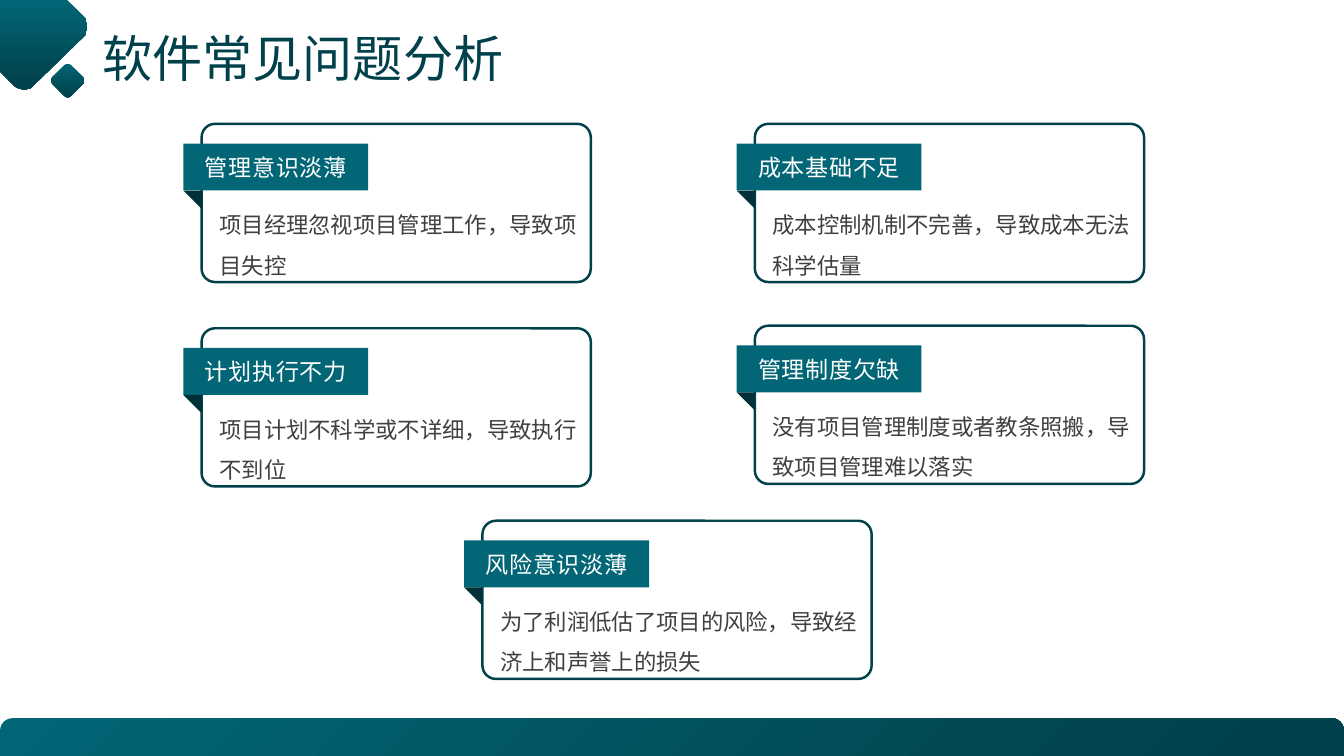
from lxml import etree
from pptx import Presentation
from pptx.dml import color
from pptx.enum import shapes, text
from pptx.oxml import ns
from pptx.util import Pt

DARK, TEAL, FOLD, GREY, WHITE = "01414B", "026676", "013138", "404040", "FFFFFF"
CJK = "Noto Sans CJK SC"


def paint(shape, colors, angle=0):
    shape.shadow.inherit = False
    shape.line.fill.background()
    if len(colors) == 1:
        shape.fill.solid()
        shape.fill.fore_color.rgb = color.RGBColor.from_string(colors[0])
        return
    shape.fill.gradient()
    shape.fill.gradient_angle = angle
    for stop, value, position in zip(shape.fill.gradient_stops, colors, (0, 0.94)):
        stop.color.rgb = color.RGBColor.from_string(value)
        stop.position = position


def write(shape, words, font_name, size, value, align, spacing, tracking=0):
    paragraph = shape.text_frame.paragraphs[0]
    paragraph.alignment = align
    paragraph.line_spacing = spacing
    paragraph.font.name = font_name
    paragraph.font.size = Pt(size)
    paragraph.font.color.rgb = color.RGBColor.from_string(value)
    run = paragraph.add_run()
    run.text = words
    properties = run._r.get_or_add_rPr()
    properties.set("lang", "zh-CN")
    properties.set("spc", str(tracking))
    etree.SubElement(properties, ns.qn("a:ea"), typeface=CJK)


presentation = Presentation()
presentation.slide_width, presentation.slide_height = Pt(960), Pt(540)
slide = presentation.slides.add_slide(presentation.slide_layouts[5])

corner = [(0, 0), (48.2, 0)]
curves = [
    [(59, 10.8), (63.4, 15.1), (63.4, 22.3), (59, 27.4)],
    [(25.2, 60.5), (20.9, 64.8), (13.7, 64.8), (8.6, 60.5)],
]
for start, first, second, end in curves:
    for step in range(13):
        t = step / 12
        weights = ((1 - t) ** 3, 3 * t * (1 - t) ** 2, 3 * t * t * (1 - t), t ** 3)
        points = (start, first, second, end)
        corner.append(tuple(sum(w * p[axis] for w, p in zip(weights, points)) for axis in (0, 1)))
corner.append((0, 51.1))
builder = slide.shapes.build_freeform(0, 0, scale=Pt(1))
builder.add_line_segments(corner[1:], close=True)
paint(builder.convert_to_shape(), (TEAL, DARK), 270)

diamond = slide.shapes.add_shape(
    shapes.MSO_SHAPE.ROUNDED_RECTANGLE, Pt(39), Pt(48.2), Pt(18.7), Pt(18.7))
diamond.rotation = 45
paint(diamond, (TEAL, DARK), 315)

footer = slide.shapes.add_shape(
    shapes.MSO_SHAPE.ROUND_2_SAME_RECTANGLE, 0, Pt(513), Pt(960), Pt(27))
footer.adjustments[0] = 0.33
paint(footer, (TEAL, DARK), 315)

title = slide.shapes.title
title.left, title.top, title.width, title.height = Pt(66.2), Pt(23.8), Pt(441), Pt(39.6)
title.text_frame.word_wrap = False
title.text_frame.auto_size = text.MSO_AUTO_SIZE.NONE
title.text_frame.vertical_anchor = text.MSO_ANCHOR.MIDDLE
write(title, "软件常见问题分析", CJK, 35.8, DARK, text.PP_ALIGN.LEFT, 0.9)

cards = [
    (144, 88.5, "管理意识淡薄", "项目经理忽视项目管理工作，导致项目失控"),
    (539.2, 88.5, "成本基础不足", "成本控制机制不完善，导致成本无法科学估量"),
    (144, 234.5, "计划执行不力", "项目计划不科学或不详细，导致执行不到位"),
    (539.2, 232.7, "管理制度欠缺", "没有项目管理制度或者教条照搬，导致项目管理难以落实"),
    (344.6, 372, "风险意识淡薄", "为了利润低估了项目的风险，导致经济上和声誉上的损失"),
]
for left, top, heading, detail in cards:
    card = slide.shapes.add_group_shape().shapes

    frame = card.add_shape(
        shapes.MSO_SHAPE.ROUNDED_RECTANGLE, Pt(left), Pt(top), Pt(278), Pt(113))
    frame.adjustments[0] = 0.085
    frame.shadow.inherit = False
    frame.fill.background()
    frame.line.color.rgb = color.RGBColor.from_string(DARK)
    frame.line.width = Pt(1.77)

    tag = card.add_shape(
        shapes.MSO_SHAPE.RECTANGLE, Pt(left - 13), Pt(top + 14), Pt(132), Pt(33.6))
    paint(tag, (TEAL,))
    tag_frame = tag.text_frame
    tag_frame.margin_left = tag_frame.margin_right = 0
    tag_frame.margin_top = tag_frame.margin_bottom = 0
    tag_frame.vertical_anchor = text.MSO_ANCHOR.MIDDLE
    write(tag, heading, "Lato", 16.5, WHITE, text.PP_ALIGN.CENTER, 1.0, 50)

    fold = card.add_shape(
        shapes.MSO_SHAPE.RIGHT_TRIANGLE, Pt(left - 13), Pt(top + 47.6), Pt(13), Pt(13))
    fold.rotation = 180
    paint(fold, (FOLD,))

    body = card.add_textbox(Pt(left + 5.6), Pt(top + 49.4), Pt(278), Pt(62))
    body.text_frame.word_wrap = True
    write(body, detail, "Lato", 16, GREY, text.PP_ALIGN.LEFT, 1.5)

presentation.save("out.pptx")
